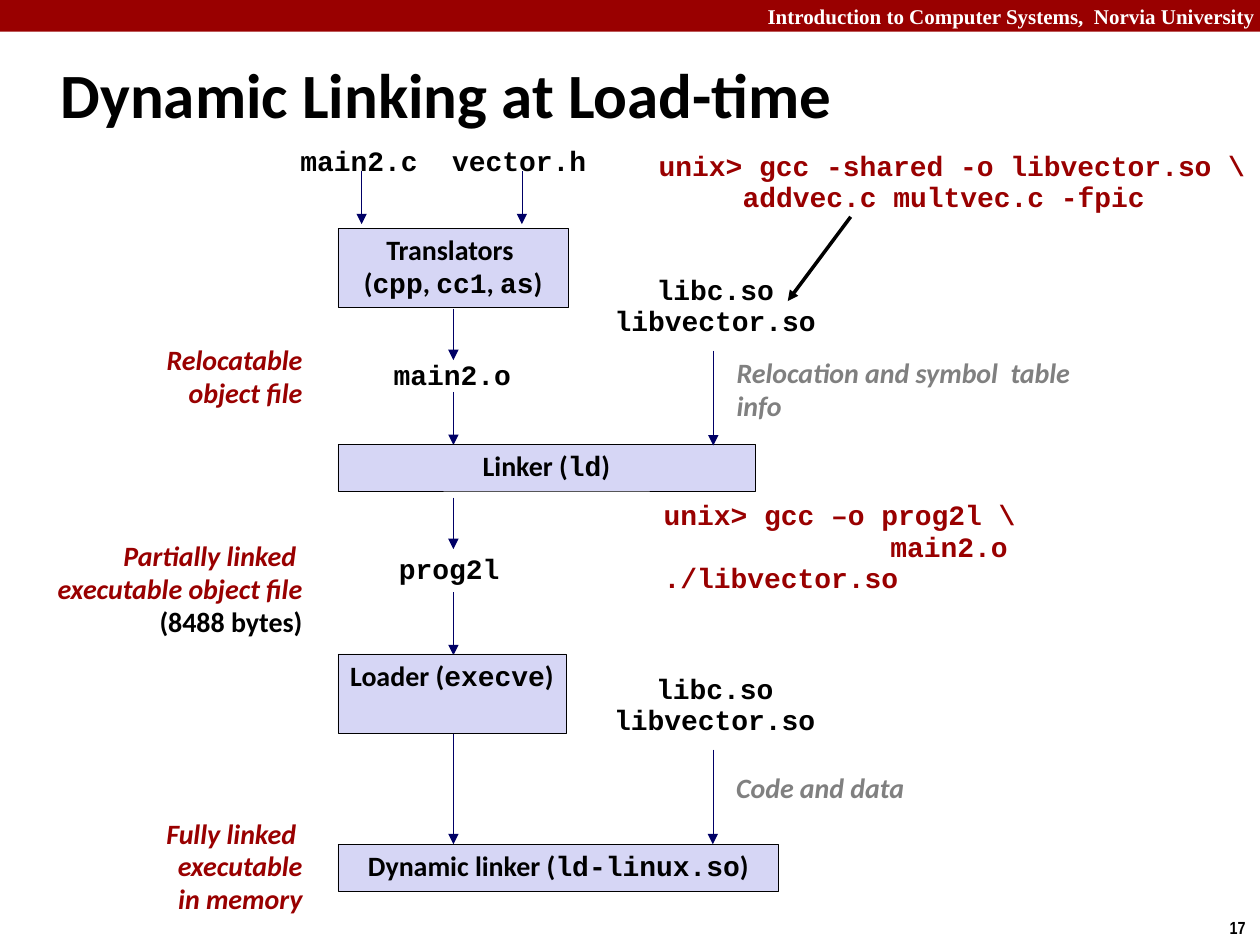
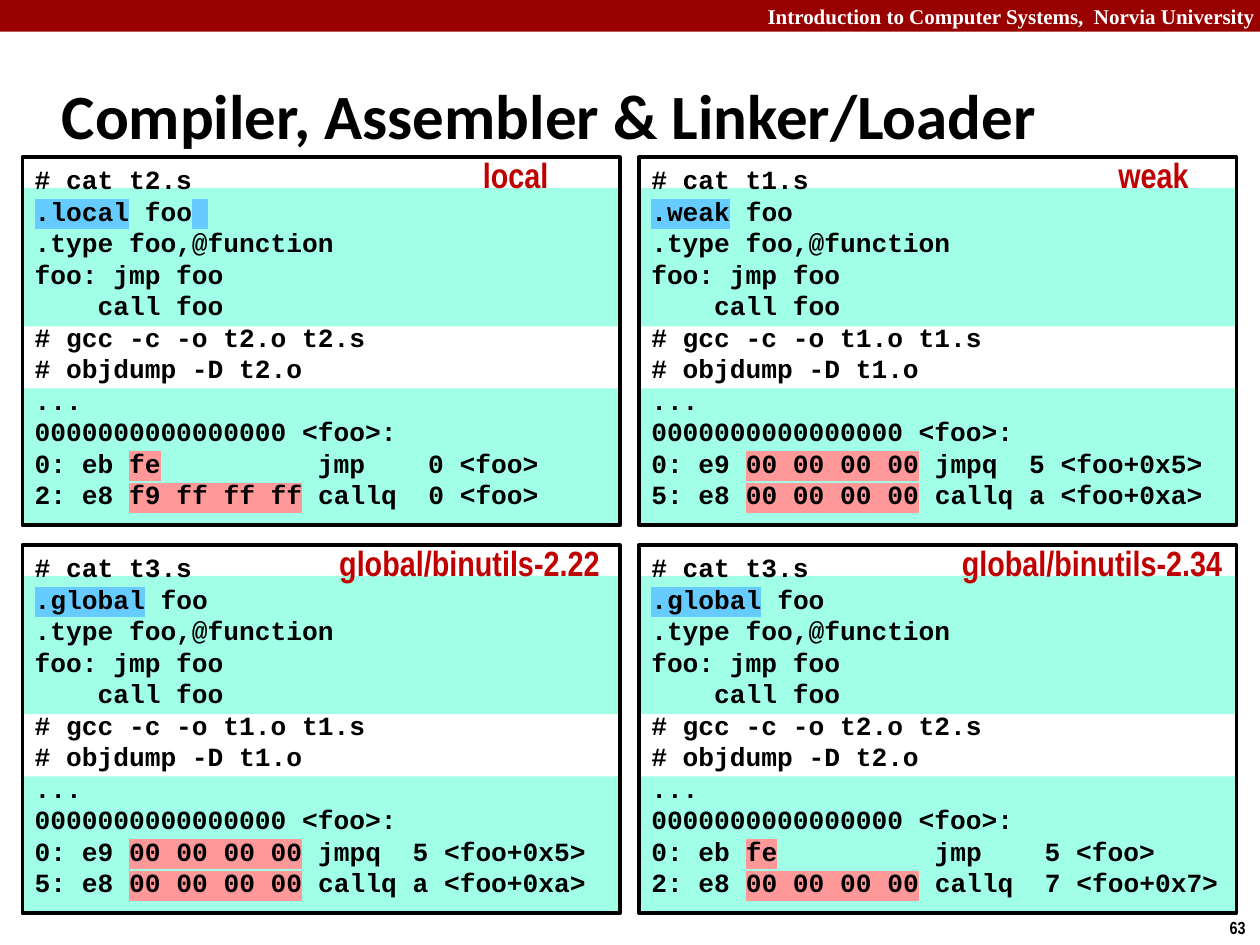
import pptx
import pptx.util
import pptx.dml.color
import pptx.enum.shapes
import pptx.enum.text
import pptx.oxml.ns
import lxml.etree

Cm = pptx.util.Cm
ALIGN = pptx.enum.text.PP_ALIGN
ANCHOR = pptx.enum.text.MSO_ANCHOR
RECTANGLE = pptx.enum.shapes.MSO_SHAPE.RECTANGLE

CRIMSON, RED, BLACK, WHITE, GRAY = "990000", "C00000", "000000", "FFFFFF", "808080"
NAVY, LAVENDER, MINT, SKY, PINK = "000066", "D6D6F5", "47FFD1", "66CCFF", "FF9999"
SANS, MONO, NARROW, SERIF = "Calibri", "Courier New", "Arial Narrow", "Times New Roman"
CODE_LABEL = dict(font=MONO, align=ALIGN.CENTER, spacing=0.94, wrap=False)
COMMAND = dict(font=MONO, color=CRIMSON, spacing=0.94)
STAGE = dict(color=CRIMSON, italic=True, align=ALIGN.RIGHT, spacing=0.98)
REMARK = dict(color=GRAY, italic=True, spacing=0.98)


def rgb(value):
    """Turn a hex string into a colour."""
    return pptx.dml.color.RGBColor.from_string(value)


def add_xml(parent, tag, **attributes):
    """Append a drawing element to a parent element."""
    return lxml.etree.SubElement(parent, pptx.oxml.ns.qn(tag), attributes)


def place(box, left, top, width, height):
    """Return lengths for a part placed relative to the corner of a box."""
    return Cm(box[0] + left), Cm(box[1] + top), Cm(width), Cm(height)


def format_run(run, size, font, color, italic, highlight):
    """Give one run its character format."""
    run.font.size = pptx.util.Pt(size)
    run.font.bold = True
    run.font.italic = italic
    run.font.color.rgb = rgb(color)
    if highlight:
        mark = add_xml(run.font.fill._xPr, "a:highlight")
        add_xml(mark, "a:srgbClr", val=highlight)
    run.font.name = font


def write(shape, paragraphs, size=16, font=SANS, color=BLACK, italic=False, highlight=None,
          align=ALIGN.LEFT, spacing=None, anchor=ANCHOR.TOP, wrap=True, indents=()):
    """Fill a shape with paragraphs, each a string or a list of spans."""
    frame = shape.text_frame
    frame.word_wrap = wrap
    frame.vertical_anchor = anchor
    base = dict(size=size, font=font, color=color, italic=italic, highlight=highlight)
    for index, spans in enumerate(paragraphs):
        para = frame.add_paragraph() if index else frame.paragraphs[0]
        para.alignment = align
        if spacing:
            para.line_spacing = spacing
        if index < len(indents):
            properties = para._p.get_or_add_pPr()
            properties.set("marL", "0")
            properties.set("indent", str(Cm(indents[index])))
        for span in [spans] if isinstance(spans, str) else spans:
            text, changes = (span, {}) if isinstance(span, str) else span
            for number, line in enumerate(text.split("\n")):
                if number:
                    para.add_line_break()
                if line:
                    run = para.add_run()
                    run.text = line
                    format_run(run, **{**base, **changes})
    for line_break in frame._txBody.iter(pptx.oxml.ns.qn("a:br")):
        add_xml(line_break, "a:rPr", sz=str(size * 100), b="1")


def add_text(page, bounds, paragraphs, **style):
    """Add a text box."""
    shape = page.shapes.add_textbox(*bounds)
    write(shape, paragraphs, **style)
    return shape


def add_rectangle(page, bounds, fill=None, line=None, width=0.26, alpha=None):
    """Add a flat rectangle with optional fill, outline and opacity."""
    shape = page.shapes.add_shape(RECTANGLE, *bounds)
    shape.shadow.inherit = False
    if fill:
        shape.fill.solid()
        shape.fill.fore_color.rgb = rgb(fill)
    else:
        shape.fill.background()
    if alpha:
        tint = shape.element.find(".//" + pptx.oxml.ns.qn("a:srgbClr"))
        add_xml(tint, "a:alpha", val=str(alpha * 1000))
    if line:
        shape.line.color.rgb = rgb(line)
        shape.line.width = pptx.util.Pt(width)
    else:
        shape.line.fill.background()
    return shape


def add_arrow(page, box, start, end, color=NAVY, width=0.26):
    """Add a straight arrow between two points of a box."""
    points = [Cm(box[axis] + point[axis]) for point in (start, end) for axis in (0, 1)]
    arrow = page.shapes.add_connector(pptx.enum.shapes.MSO_CONNECTOR.STRAIGHT, *points)
    arrow.line.color.rgb = rgb(color)
    arrow.line.width = pptx.util.Pt(width)
    add_xml(arrow.element.find(".//" + pptx.oxml.ns.qn("a:ln")), "a:tailEnd", type="triangle")
    add_xml(arrow.element.spPr, "a:effectLst")


def add_page(deck, title, number, title_bounds):
    """Add a page with the shared band, header, title and page number."""
    page = deck.slides.add_slide(deck.slide_layouts[5])
    add_rectangle(page, place((0, 0), 0, 0, 25.4, 0.64), fill=CRIMSON)
    header = add_text(page, place((0, 0), 13.4, 0, 12, 0.64),
                      ["Introduction to Computer Systems,  Norvia University"],
                      size=12, font=SERIF, color=WHITE, align=ALIGN.RIGHT, anchor=ANCHOR.MIDDLE)
    header.text_frame.margin_right = Cm(0.1)
    add_text(page, place((0, 0), 24.54, 18.36, 0.86, 0.69), [str(number)],
             size=10, font=NARROW, wrap=False)
    heading = page.shapes.title
    heading.left, heading.top, heading.width, heading.height = place((0, 0), *title_bounds)
    write(heading, [title], size=36, anchor=ANCHOR.MIDDLE)
    return page


def draw_toolchain(page, box):
    """Draw the column of files and tools from source to memory."""
    for left, top, width, name in ((0, 0, 2.9, "main2.c"), (3.05, 0, 3.25, "vector.h"),
                                   (1.88, 4.32, 2.9, "main2.o"), (1.98, 8.23, 2.57, "prog2l")):
        add_text(page, place(box, left, top, width, 0.91), [name], **CODE_LABEL)
    for across in (1.5, 4.73):
        add_arrow(page, box, (across, 0.63), (across, 1.7))
    for start, end in ((3.4, 4.44), (5.08, 6.15), (7.21, 8.25), (9.12, 10.39), (11.43, 14.2)):
        add_arrow(page, box, (3.35, start), (3.35, end))
    code = dict(font=MONO)
    tools = (
        (1.78, 4.65, 1.6, ["Translators ", ["(", ("cpp", code), ", ", ("cc1", code), ", ",
                                            ("as", code), ")"]]),
        (6.14, 8.41, 0.94, [["Linker (", ("ld", code), ")"]]),
        (10.36, 4.6, 1.6, [["Loader (", ("execve", code), ")"]]),
        (14.2, 8.89, 0.94, [["Dynamic linker (", ("ld-linux.so", code), ")"]]),
    )
    for top, width, height, paragraphs in tools:
        tool = add_rectangle(page, place(box, 1.02, top, width, height), LAVENDER, BLACK)
        write(tool, paragraphs, align=ALIGN.CENTER, spacing=0.98)


def draw_libraries(page, box, remark, remark_top, remark_width, remark_height):
    """Draw the shared libraries, their arrow and a remark beside it."""
    add_text(page, place(box, 0, 0, 4.62, 1.55), ["libc.so", "libvector.so"], **CODE_LABEL)
    add_arrow(page, box, (2.27, 1.65), (2.27, 3.56))
    add_text(page, place(box, 2.49, remark_top, remark_width, remark_height), [remark], **REMARK)


def draw_stages(page, box):
    """Name the state of the program beside each step, flush right."""
    stages = (
        (2.54, 0, 1.6, ["Relocatable", "object file"]),
        (0, 3.96, 2.26, ["Partially linked ", "executable object file",
                         [("(8488 bytes)", dict(color=BLACK, italic=False))]]),
        (1.47, 9.55, 2.26, ["Fully linked ", "executable", "in memory"]),
    )
    for left, top, height, paragraphs in stages:
        add_text(page, place(box, left, top, 6.35 - left, height), paragraphs, **STAGE)


def draw_commands(page, box):
    """Write the two shell commands and point from the first to its result."""
    add_text(page, place(box, 0, 0, 12.37, 1.55),
             ["unix> gcc -shared -o libvector.so \\", "addvec.c multvec.c -fpic"],
             indents=(0, 1.69), wrap=False, **COMMAND)
    add_arrow(page, box, (4.12, 1.45), (2.85, 3.15), BLACK, 2)
    add_text(page, place(box, 0.1, 7.04, 10.11, 2.2),
             ["unix> gcc –o prog2l \\", "main2.o ./libvector.so"], indents=(0, 4.57), **COMMAND)


def draw_listing(page, box, label, label_left, label_width, source, directive, built, jump, call):
    """Draw one framed listing with tinted output and a red label."""
    for top in (0.62, 4.66):
        add_rectangle(page, place(box, 0.02, top, 12.01, 2.79), MINT, alpha=50)
    panel = add_rectangle(page, place(box, 0, 0, 12.05, 7.42), line=BLACK, width=2)
    keyword, operand = dict(highlight=SKY), dict(highlight=PINK)
    gap = [(" ", keyword)] if directive == ".local" else []
    assembly = [f"# cat {source}.s\n", (directive, keyword), " foo", *gap,
                "\n.type foo,@function\nfoo: jmp foo\n    call foo"]
    dump = [f"# gcc -c -o {built}.o {built}.s\n# objdump -D {built}.o\n...\n"
            f"0000000000000000 <foo>:\n{jump[0]} ", (jump[1], operand), f"{jump[2]}\n{call[0]} ",
            (call[1], operand), call[2]]
    write(panel, [assembly, dump], size=15, font=MONO)
    add_text(page, place(box, label_left, -0.19, label_width, 1.07), [label], size=20,
             font=NARROW, color=RED, align=ALIGN.CENTER, anchor=ANCHOR.MIDDLE)


def build_linking_page(deck):
    """Build the page on dynamic linking."""
    page = add_page(deck, "Dynamic Linking at Load-time", 17, (0.97, 0.8, 24.2, 2.16))
    draw_toolchain(page, (5.79, 2.82))
    draw_libraries(page, (12.11, 5.42), "Relocation and symbol  table info", 1.65, 7.24, 1.6)
    draw_libraries(page, (12.1, 13.46), "Code and data", 1.98, 4.93, 0.94)
    draw_stages(page, (0, 6.81))
    draw_commands(page, (13.03, 2.92))


def build_listing_page(deck):
    """Build the page that compares four symbol bindings."""
    page = add_page(deck, "Compiler, Assembler & Linker/Loader", 63, (0.99, 0.84, 24.4, 2.92))
    zeros = "00 00 00 00"
    far_jump = ("0: e9", zeros, " jmpq  5 <foo+0x5>")
    far_call = ("5: e8", zeros, " callq a <foo+0xa>")
    listings = (
        ("local", 7.72, 4.45, "t2", ".local", "t2",
         ("0: eb", "fe", "          jmp    0 <foo>"), ("2: e8", "f9 ff ff ff", " callq  0 <foo>")),
        ("weak", 8.43, 3.89, "t1", ".weak", "t1", far_jump, far_call),
        ("global/binutils-2.22", 5.42, 7.19, "t3", ".global", "t1", far_jump, far_call),
        ("global/binutils-2.34", 5.54, 7.19, "t3", ".global", "t2",
         ("0: eb", "fe", "          jmp    5 <foo>"), ("2: e8", zeros, " callq  7 <foo+0x7>")),
    )
    for index, listing in enumerate(listings):
        row, column = divmod(index, 2)
        draw_listing(page, (0.45 + 12.43 * column, 3.17 + 7.82 * row), *listing)


def main():
    """Build and save the deck."""
    deck = pptx.Presentation()
    deck.slide_width, deck.slide_height = Cm(25.4), Cm(19.05)
    build_linking_page(deck)
    build_listing_page(deck)
    deck.save("out.pptx")


main()
